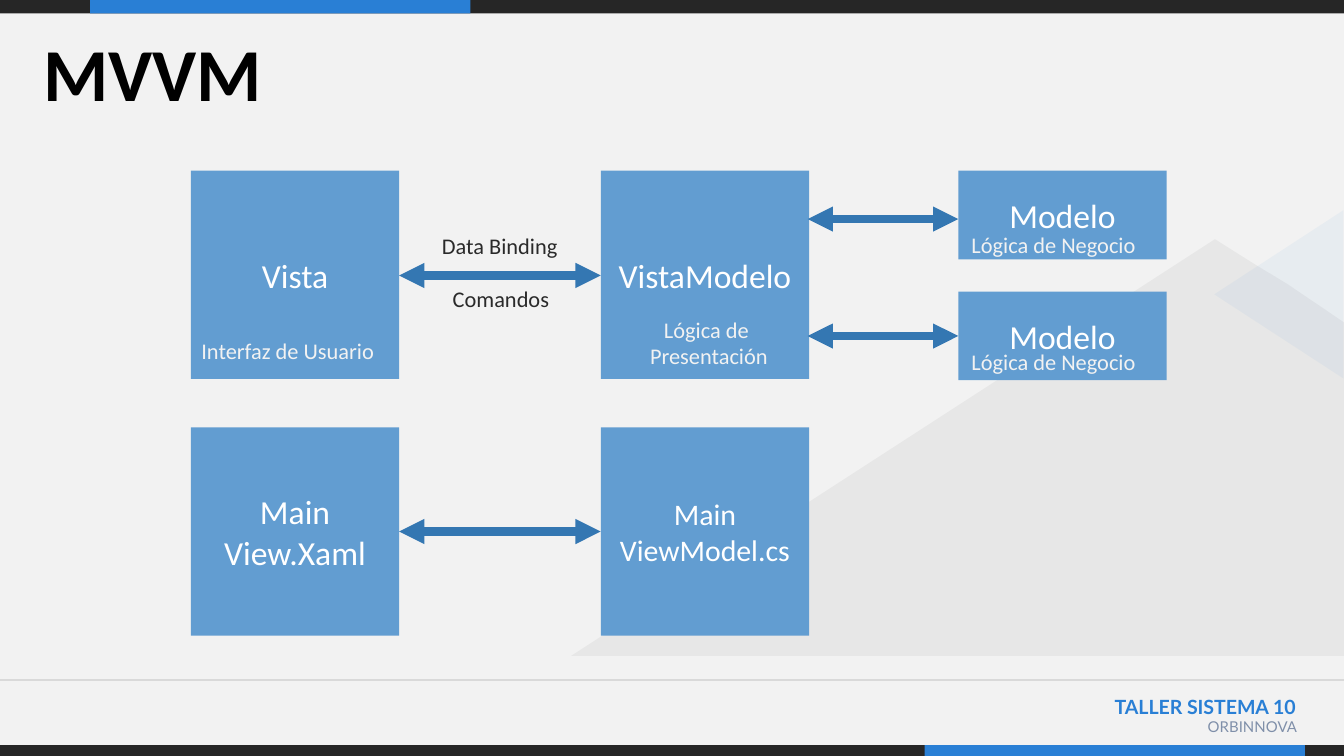
from lxml import etree
from pptx import Presentation
from pptx.dml.color import RGBColor
from pptx.enum.shapes import MSO_CONNECTOR, MSO_SHAPE
from pptx.enum.text import MSO_ANCHOR, PP_ALIGN
from pptx.oxml.ns import qn
from pptx.util import Inches, Pt

COLORS = {
    "background": "F2F2F2", "dark": "262626", "accent": "297FD5",
    "rule": "D9D9D9", "box": "629DD1", "arrow": "3477B2", "white": "FFFFFF",
    "label": "2A2A2A", "caption": "F2F2F2", "muted": "7F8FA9", "black": "000000",
}
WIDTH = 10
HEIGHT = WIDTH * 9 / 16
BOX = 1.55
VIEW_X, VIEWMODEL_X, MODEL_X = 1.42, 4.47, 7.13
TOP_Y, BOTTOM_Y = 1.27, 3.18
MODEL_H, MODEL_STEP = 0.66, 0.9


def rgb(name):
    return RGBColor.from_string(COLORS[name])


def write(tf, lines, size, color, align=PP_ALIGN.LEFT, font="Calibri", bold=False):
    style = {"size": Pt(size), "name": font, "bold": bold}
    for i, line in enumerate(lines):
        p = tf.paragraphs[0] if i == 0 else tf.add_paragraph()
        p.alignment = align
        r = p.add_run()
        r.text = line
        for key, value in style.items():
            setattr(r.font, key, value)
        r.font.color.rgb = rgb(color)


def paint(sp, color, alpha=None):
    """Give a shape a flat fill, with alpha in percent."""
    sp.shadow.inherit = False
    sp.line.fill.background()
    sp.fill.solid()
    sp.fill.fore_color.rgb = rgb(color)
    if alpha is not None:
        clr = sp._element.spPr.find(qn("a:solidFill")).find(qn("a:srgbClr"))
        etree.SubElement(clr, qn("a:alpha")).set("val", str(alpha * 1000))


def add_shape(s, x, y, w, h, color, kind=MSO_SHAPE.RECTANGLE, alpha=None):
    sp = s.shapes.add_shape(kind, Inches(x), Inches(y), Inches(w), Inches(h))
    paint(sp, color, alpha)
    return sp


def add_text(s, x, y, w, h, lines, size, color, wrap=False, **style):
    sp = s.shapes.add_textbox(Inches(x), Inches(y), Inches(w), Inches(h))
    sp.text_frame.word_wrap = wrap
    write(sp.text_frame, lines, size, color, **style)


def add_line(s, x1, y1, x2, y2, color, width, arrows=False):
    line = s.shapes.add_connector(
        MSO_CONNECTOR.STRAIGHT, Inches(x1), Inches(y1), Inches(x2), Inches(y2))
    line.line.color.rgb = rgb(color)
    line.line.width = Pt(width)
    if arrows:
        ln = line.line._get_or_add_ln()
        for end in ("a:headEnd", "a:tailEnd"):
            etree.SubElement(ln, qn(end)).set("type", "triangle")
    etree.SubElement(line._element.spPr, qn("a:effectLst"))


def add_box(s, x, y, lines, h=BOX, size=18):
    sp = add_shape(s, x, y, BOX, h, "box")
    tf = sp.text_frame
    tf.word_wrap = True
    tf.vertical_anchor = MSO_ANCHOR.MIDDLE
    for side in ("left", "top", "right", "bottom"):
        setattr(tf, f"margin_{side}", Inches(0.04))
    write(tf, lines, size, "white", align=PP_ALIGN.CENTER)


def add_band(s, y, h, accent_x):
    add_shape(s, 0, y, WIDTH, h, "dark")
    add_shape(s, accent_x, y, 2.83, h, "accent")


def add_mountains(s, x, y, w, h):
    """Draw the faint peak and the triangle that overlaps it."""
    right, bottom = x + w, y + h
    curve = [(right, y + 0.62), (9.28, y + 0.13), (9.83, y + 0.5), (9.04, y)]
    slope = []
    for t in (i / 12 for i in range(13)):
        weights = ((1 - t) ** 3, 3 * t * (1 - t) ** 2, 3 * t ** 2 * (1 - t), t ** 3)
        slope.append(tuple(sum(k * pt[axis] for k, pt in zip(weights, curve))
                           for axis in (0, 1)))
    points = [(round(px * 1000), round(py * 1000))
              for px, py in slope + [(x, bottom)]]
    fb = s.shapes.build_freeform(round(right * 1000), round(bottom * 1000),
                                 scale=Inches(1) / 1000)
    fb.add_line_segments(points, close=True)
    paint(fb.convert_to_shape(), "dark", 5)
    triangle = add_shape(s, 8.89, y - 0.07, 1.25, 0.96, "accent",
                         MSO_SHAPE.ISOSCELES_TRIANGLE, 5)
    triangle.rotation = 270


def add_footer(s, y):
    add_line(s, 0, y, WIDTH, y, "rule", 0.75)
    add_text(s, 6.75, y + 0.06, 2.99, 0.4, ["TALLER SISTEMA 10"], 10.5, "accent",
             wrap=True, align=PP_ALIGN.RIGHT, font="Lato", bold=True)
    add_text(s, 7.94, y + 0.23, 1.81, 0.31, ["ORBINNOVA"], 8, "muted",
             wrap=True, align=PP_ALIGN.RIGHT, font="Lato")


def add_title(s, x, y, w, h, text):
    title = s.shapes.title
    place = {"left": x, "top": y, "width": w, "height": h}
    for key, value in place.items():
        setattr(title, key, Inches(value))
    tf = title.text_frame
    tf.vertical_anchor = MSO_ANCHOR.MIDDLE
    write(tf, [text], 40, "black", bold=True)
    tf.paragraphs[0].line_spacing = 0.9


def add_pattern_row(s, y):
    """Draw view, view model and the two models, with their links."""
    add_box(s, VIEW_X, y, ["Vista"])
    add_box(s, VIEWMODEL_X, y, ["VistaModelo"])
    middle = y + 0.78
    add_line(s, VIEWMODEL_X, middle, VIEW_X + BOX, middle, "arrow", 4.5, True)
    for i, caption_y in enumerate((0.4, 1.27)):
        link_y = y + 0.36 + i * 0.87
        add_box(s, MODEL_X, y + i * MODEL_STEP, ["Modelo"], h=MODEL_H)
        add_line(s, MODEL_X, link_y, 6.01, link_y, "arrow", 4.5, True)
        add_text(s, MODEL_X, y + caption_y, 1.58, 0.3,
                 ["Lógica de Negocio"], 12, "caption")
    add_text(s, 3.19, y + 0.41, 1.17, 0.3, ["Data Binding"], 12, "label")
    add_text(s, 3.27, y + 0.8, 0.99, 0.3, ["Comandos"], 12, "label")
    add_text(s, 1.4, y + 1.19, 1.63, 0.3, ["Interfaz de Usuario"], 12, "caption")
    add_text(s, 4.69, y + 1.03, 1.17, 0.5, ["Lógica de ", "Presentación"], 12,
             "caption", align=PP_ALIGN.CENTER)


def add_files_row(s, y):
    add_box(s, VIEW_X, y, ["Main", "View.Xaml"])
    add_box(s, VIEWMODEL_X, y, ["Main", "ViewModel.cs"], size=16)
    middle = y + BOX / 2
    add_line(s, VIEWMODEL_X, middle, VIEW_X + BOX, middle, "arrow", 4.5, True)


def main():
    prs = Presentation()
    prs.slide_width, prs.slide_height = Inches(WIDTH), Inches(HEIGHT)
    s = prs.slides.add_slide(prs.slide_layouts[5])
    s.background.fill.solid()
    s.background.fill.fore_color.rgb = rgb("background")
    add_band(s, 0, 0.1, 0.67)
    add_band(s, HEIGHT - 0.08, 0.08, 6.88)
    add_footer(s, 5.06)
    add_mountains(s, 4.25, 1.78, 5.75, 3.1)
    add_title(s, 0.22, 0.17, 9.56, 0.81, "MVVM")
    add_pattern_row(s, TOP_Y)
    add_files_row(s, BOTTOM_Y)
    prs.save("out.pptx")


if __name__ == "__main__":
    main()
